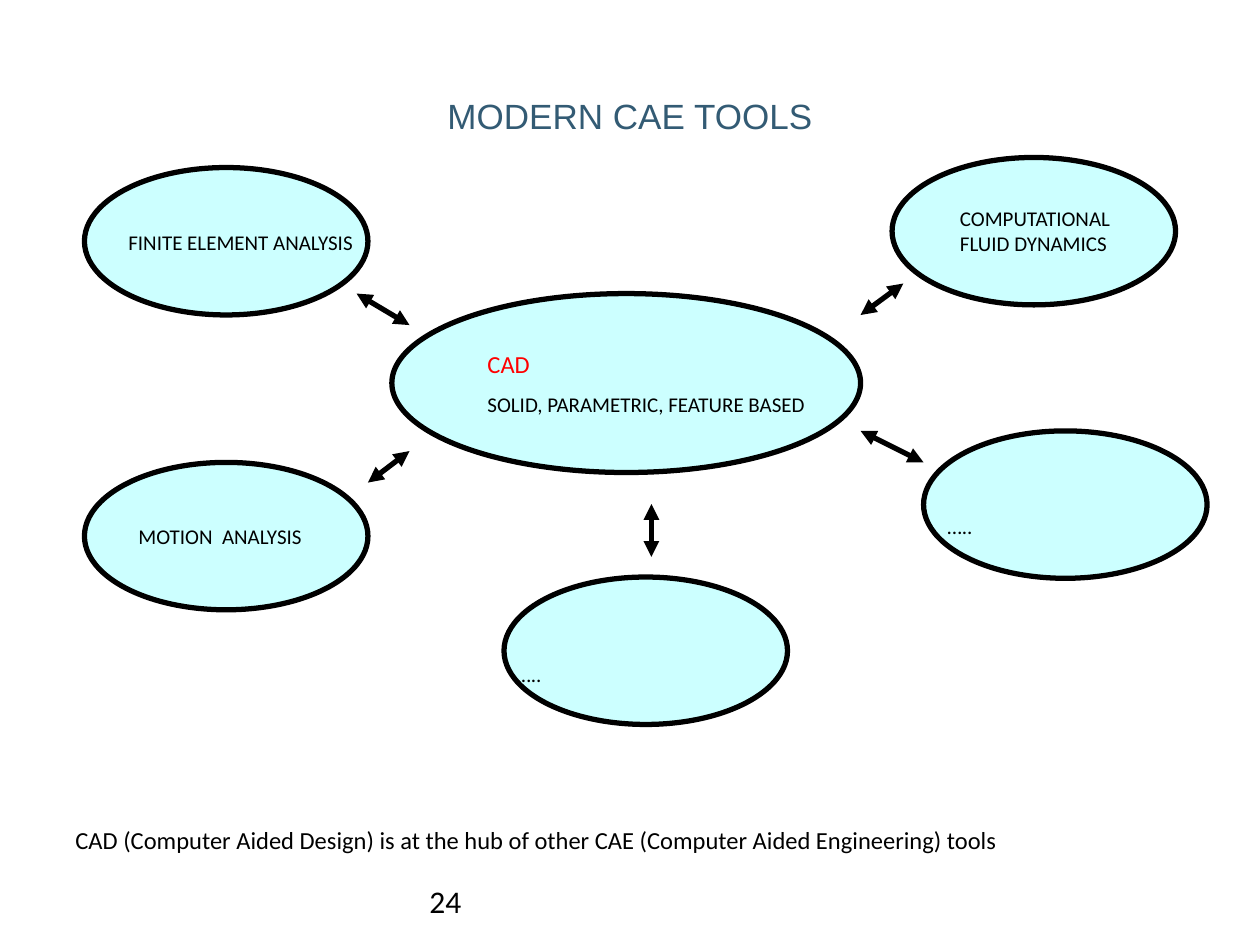
from dataclasses import dataclass

from lxml.etree import SubElement
from pptx import Presentation
from pptx.dml.color import RGBColor
from pptx.enum.shapes import MSO_CONNECTOR, MSO_SHAPE
from pptx.enum.text import MSO_ANCHOR, MSO_AUTO_SIZE, PP_ALIGN
from pptx.oxml.ns import qn
from pptx.util import Inches, Pt


@dataclass(frozen=True)
class Theme:
    title_font: str = "Arial"
    body_font: str = "Calibri"
    title_color: RGBColor = RGBColor(0x33, 0x5B, 0x74)
    ink: RGBColor = RGBColor(0, 0, 0)
    accent: RGBColor = RGBColor(0xFF, 0, 0)
    bubble: RGBColor = RGBColor(0xCC, 0xFF, 0xFF)
    title_size: int = 20
    number_size: int = 18
    lead_size: int = 14
    label_size: int = 12
    outline: int = 3


THEME = Theme()
TOOL_SIZE = (2.25, 1.17)

HUB_BOX = (3.11, 2.33, 3.72, 1.42)
HUB_LABEL_BOX = (3.77, 2.72, 2.92, 0.64)

# Ellipse corner, label, label box
TOOLS = [
    ((0.67, 1.33), "FINITE ELEMENT ANALYSIS", (0.92, 1.77, 2.25, 0.3)),
    ((0.67, 3.67), "MOTION  ANALYSIS", (1, 4.11, 2.25, 0.3)),
    ((7.08, 1.25), "COMPUTATIONAL FLUID DYNAMICS", (7.52, 1.58, 1.81, 0.5)),
    ((7.33, 3.42), "…..", (7.42, 4.03, 2.25, 0.3)),
    ((4, 4.58), "…..", (4, 5.2, 2.25, 0.3)),
]

# Start and end of each two-way arrow between the hub and a tool
ARROWS = [
    ((2.92, 3.83), (3.25, 3.58)),
    ((6.83, 2.5), (7.17, 2.25)),
    ((3.25, 2.58), (2.83, 2.33)),
    ((6.83, 3.42), (7.33, 3.67)),
    ((5.17, 4.42), (5.17, 4)),
]


def inches(values):
    return [Inches(value) for value in values]


def set_font(paragraph, name, size, color):
    paragraph.font.name = name
    paragraph.font.size = Pt(size)
    paragraph.font.color.rgb = color


def add_title(slide, text, box):
    title = slide.shapes.title
    title.left, title.top, title.width, title.height = inches(box)
    frame = title.text_frame
    frame.text = text
    frame.auto_size = MSO_AUTO_SIZE.NONE
    frame.vertical_anchor = MSO_ANCHOR.MIDDLE
    paragraph = frame.paragraphs[0]
    paragraph.alignment = PP_ALIGN.CENTER
    set_font(paragraph, THEME.title_font, THEME.title_size, THEME.title_color)


def add_text(slide, box, lines):
    """Add a text box; each line is its text, size, colour and space before."""
    frame = slide.shapes.add_textbox(*inches(box)).text_frame
    frame.word_wrap = True
    for index, (text, size, color, space) in enumerate(lines):
        paragraph = frame.add_paragraph() if index else frame.paragraphs[0]
        paragraph.text = text
        paragraph.space_before = Pt(space)
        set_font(paragraph, THEME.body_font, size, color)


def lead(text, color=THEME.ink):
    return text, THEME.lead_size, color, 8.8


def label(text):
    return text, THEME.label_size, THEME.ink, 7.5


def add_ellipse(slide, box):
    ellipse = slide.shapes.add_shape(MSO_SHAPE.OVAL, *inches(box))
    ellipse.shadow.inherit = False
    ellipse.fill.solid()
    ellipse.fill.fore_color.rgb = THEME.bubble
    ellipse.line.color.rgb = THEME.ink
    ellipse.line.width = Pt(THEME.outline)


def add_double_arrow(slide, start, end):
    arrow = slide.shapes.add_connector(
        MSO_CONNECTOR.STRAIGHT, *inches(start), *inches(end))
    arrow.line.color.rgb = THEME.ink
    arrow.line.width = Pt(THEME.outline)
    properties = arrow.element.spPr
    outline = properties.find(qn("a:ln"))
    for tag in ("a:headEnd", "a:tailEnd"):
        SubElement(outline, qn(tag), type="triangle")
    SubElement(properties, qn("a:effectLst"))


def main():
    presentation = Presentation()
    presentation.slide_width, presentation.slide_height = inches((10, 7.5))
    slide = presentation.slides.add_slide(presentation.slide_layouts[5])

    add_title(slide, "MODERN CAE TOOLS", (0.25, 0.67, 9.5, 0.5))
    add_ellipse(slide, HUB_BOX)
    add_text(slide, HUB_LABEL_BOX, [
        lead("CAD", THEME.accent),
        label("SOLID, PARAMETRIC, FEATURE BASED"),
    ])
    for corner, name, label_box in TOOLS:
        add_ellipse(slide, corner + TOOL_SIZE)
        add_text(slide, label_box, [label(name)])
    for start, end in ARROWS:
        add_double_arrow(slide, start, end)

    add_text(slide, (0.5, 6.5, 8.83, 0.34), [lead(
        "CAD (Computer Aided Design) is at the hub of other CAE "
        "(Computer Aided Engineering) tools")])
    add_text(slide, (3.31, 6.95, 3.37, 0.4),
             [("24", THEME.number_size, THEME.ink, 0)])
    presentation.save("out.pptx")


if __name__ == "__main__":
    main()
